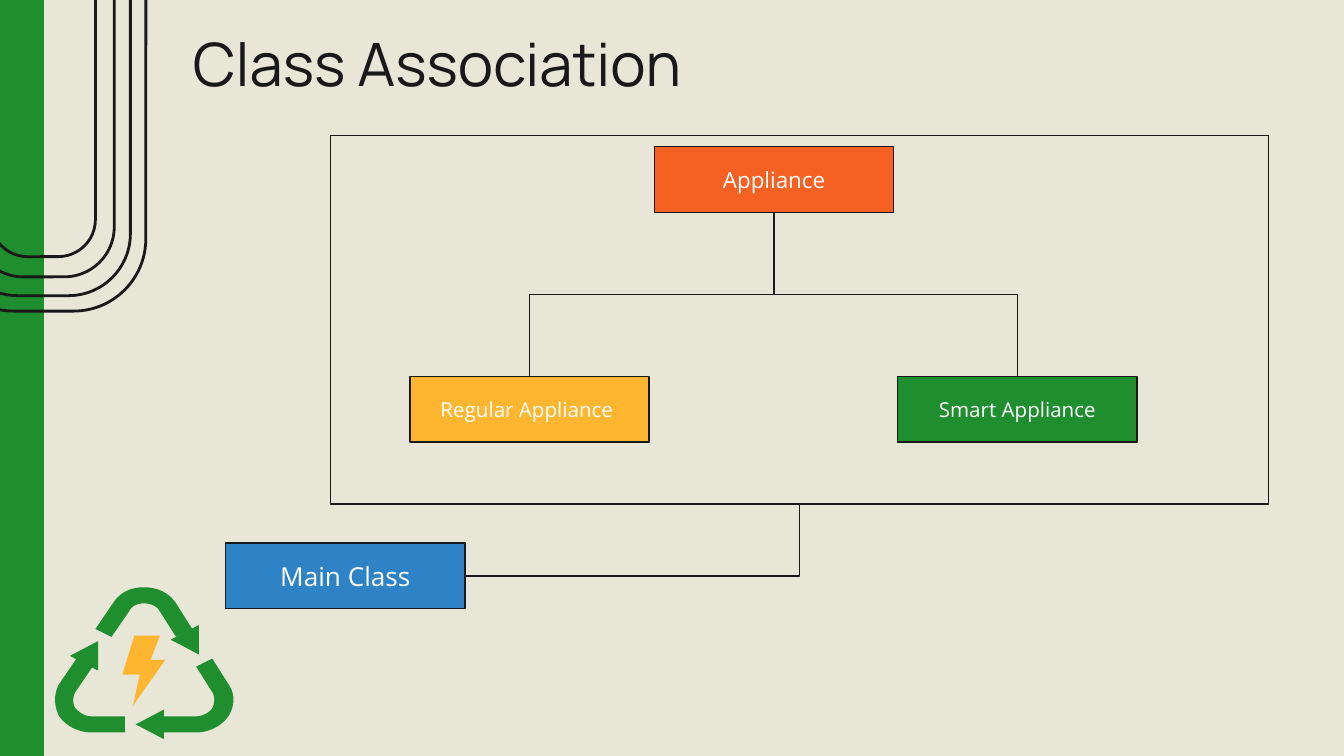
from lxml import etree
from pptx import Presentation
from pptx.dml.color import RGBColor
from pptx.enum.shapes import MSO_CONNECTOR, MSO_SHAPE
from pptx.enum.text import MSO_ANCHOR, PP_ALIGN
from pptx.oxml.ns import qn
from pptx.util import Inches, Pt

RECT = MSO_SHAPE.RECTANGLE
ROUND = MSO_SHAPE.ROUNDED_RECTANGLE
ELBOW = MSO_CONNECTOR.ELBOW
CENTER = PP_ALIGN.CENTER
TOP, MIDDLE = MSO_ANCHOR.TOP, MSO_ANCHOR.MIDDLE

WIDE = 10
HIGH = WIDE * 9 / 16
INK, PAPER, WHITE = "191919", "E8E6D6", "FFFFFF"
GREEN, ORANGE, YELLOW, BLUE = "1F8E2E", "F46123", "FEB530", "2E83C7"
PAD = Inches(0.1)
FRAME = {
    "word_wrap": True,
    "margin_left": PAD,
    "margin_right": PAD,
    "margin_top": PAD,
    "margin_bottom": PAD,
}
NODE = (1.78, 0.49)

BENDS = [
    [(0.67, 0), (0.57, 0, 0.49, 0.04, 0.44, 0.12), (0.31, 0.31), (0.43, 0.37),
     (0.56, 0.18), (0.58, 0.14, 0.62, 0.12, 0.67, 0.12),
     (0.72, 0.12, 0.77, 0.14, 0.79, 0.18), (0.91, 0.37), (1.03, 0.31),
     (0.91, 0.12), (0.86, 0.04, 0.77, 0, 0.67, 0)],
    [(1.18, 0.53), (1.06, 0.59), (1.18, 0.78),
     (1.2, 0.81, 1.2, 0.86, 1.18, 0.9), (1.16, 0.93, 1.11, 0.96, 1.06, 0.96),
     (0.81, 0.96), (0.81, 1.08), (1.06, 1.08),
     (1.16, 1.08, 1.25, 1.03, 1.3, 0.96), (1.35, 0.88, 1.35, 0.79, 1.3, 0.72)],
    [(0.17, 0.53), (0.04, 0.72), (0, 0.79, 0, 0.88, 0.04, 0.96),
     (0.09, 1.03, 0.18, 1.08, 0.28, 1.08), (0.53, 1.08), (0.53, 0.96),
     (0.28, 0.96), (0.23, 0.96, 0.19, 0.93, 0.16, 0.9),
     (0.14, 0.86, 0.14, 0.82, 0.16, 0.78), (0.29, 0.59)],
]
TIPS = [(0.87, 0.28), (0.61, 0.91), (0.12, 0.4)]
BOLT = [(0.6, 0.36), (0.51, 0.65), (0.64, 0.65), (0.59, 0.88),
        (0.83, 0.54), (0.72, 0.54), (0.79, 0.36)]


def color(code):
    return RGBColor.from_string(code)


def paint(shape, fill=None, line=None, width=0.75):
    shape.shadow.inherit = False
    if fill:
        shape.fill.solid()
        shape.fill.fore_color.rgb = color(fill)
    else:
        shape.fill.background()
    if line:
        shape.line.color.rgb = color(line)
        shape.line.width = Pt(width)
    else:
        shape.line.fill.background()


def block(slide, box, kind=RECT, **look):
    shape = slide.shapes.add_shape(kind, *map(Inches, box))
    paint(shape, **look)
    return shape


def write(shape, text, size, font, ink, anchor):
    frame = shape.text_frame
    for key, value in {**FRAME, "vertical_anchor": anchor}.items():
        setattr(frame, key, value)
    para = frame.paragraphs[0]
    para.alignment = CENTER
    run = para.add_run()
    run.text = text
    for key, value in {"size": Pt(size), "name": font}.items():
        setattr(run.font, key, value)
    run.font.color.rgb = color(ink)


def node(slide, x, y, text, size, fill):
    shape = block(slide, (x, y, *NODE), fill=fill, line=INK)
    write(shape, text, size, "Open Sans", WHITE, MIDDLE)
    return shape


def link(slide, start, site, end, goal):
    line = slide.shapes.add_connector(ELBOW, 0, 0, 0, 0)
    line.begin_connect(start, site)
    line.end_connect(end, goal)
    line.line.color.rgb = color(INK)
    line.line.width = Pt(0.75)
    etree.SubElement(line.element.spPr, qn("a:effectLst"))
    return line


def branch(slide, top, child):
    line = link(slide, top, 2, child, 0)
    x1, y1, x2, y2 = line.begin_x, line.begin_y, line.end_x, line.end_y
    wide, high = abs(x2 - x1), y2 - y1
    left, up = (x1 + x2 - high) // 2, (y1 + y2 - wide) // 2
    place = {"left": left, "top": up, "width": high, "height": wide}
    for key, value in place.items():
        setattr(line, key, value)
    form = line.element.spPr.find(qn("a:xfrm"))
    right = x2 > x1
    form.set("rot", str((270 if right else 90) * 60000))
    form.set("flipH", "1" if right else "0")


def diagram(slide, x, y):
    group = block(slide, (x, y, 6.98, 2.74), line=INK)
    top = node(slide, x + 2.41, y + 0.08, "Appliance", 12, ORANGE)
    kids = [
        node(slide, x + 0.59, y + 1.79, "Regular Appliance ", 11, YELLOW),
        node(slide, x + 4.22, y + 1.79, "Smart Appliance", 11, GREEN),
    ]
    for kid in kids:
        branch(slide, top, kid)
    main = node(slide, x - 0.78, y + 3.03, "Main Class", 14, BLUE)
    line = link(slide, main, 3, group, 2)
    line.element.spPr.find(qn("a:prstGeom")).set("prst", "bentConnector2")


def edge(slide, high):
    block(slide, (0, 0, 0.32, high), fill=GREEN, line=GREEN)
    loops = [
        (-2.28, -1.05, 5.21, 1.52),
        (-2.17, -0.94, 4.98, 1.3),
        (-2.02, -0.81, 4.69, 1.05),
        (-1.88, -0.68, 4.4, 0.78),
    ]
    for box in loops:
        loop = block(slide, box, ROUND, line=INK, width=1.5)
        loop.adjustments[0] = 0.354
        loop.rotation = 90


def flatten(path, steps=10):
    points = [path[0]]
    for part in path[1:]:
        if len(part) == 2:
            points.append(part)
            continue
        nodes = [points[-1], part[:2], part[2:4], part[4:]]
        for step in range(1, steps + 1):
            t = step / steps
            s = 1 - t
            mix = (s ** 3, 3 * s * s * t, 3 * s * t * t, t ** 3)
            points.append(tuple(
                sum(m * p[axis] for m, p in zip(mix, nodes))
                for axis in (0, 1)
            ))
    return points


def outline(slide, x, y, path, fill):
    points = [(Inches(x + a), Inches(y + b)) for a, b in flatten(path)]
    pen = slide.shapes.build_freeform(*points[0], scale=1.0)
    pen.add_line_segments(points[1:], close=True)
    paint(pen.convert_to_shape(), fill=fill)


def emblem(slide, x, y):
    for bend in BENDS:
        outline(slide, x, y, bend, GREEN)
    for a, b in TIPS:
        tip = [(a + 0.21, b), (a, b + 0.11), (a + 0.21, b + 0.22)]
        outline(slide, x, y, tip, GREEN)
    outline(slide, x, y, BOLT, YELLOW)


def title(slide, box):
    shape = slide.shapes.add_textbox(*map(Inches, box))
    write(shape, "Class Association", 32, "Manrope", INK, TOP)


def main():
    deck = Presentation()
    deck.slide_width, deck.slide_height = Inches(WIDE), Inches(HIGH)
    slide = deck.slides.add_slide(deck.slide_layouts[6])
    slide.background.fill.solid()
    slide.background.fill.fore_color.rgb = color(PAPER)
    edge(slide, HIGH)
    diagram(slide, 2.46, 1.01)
    title(slide, (-0.07, 0.1, 6.65, 0.67))
    emblem(slide, 0.4, 4.37)
    deck.save("out.pptx")


if __name__ == "__main__":
    main()
